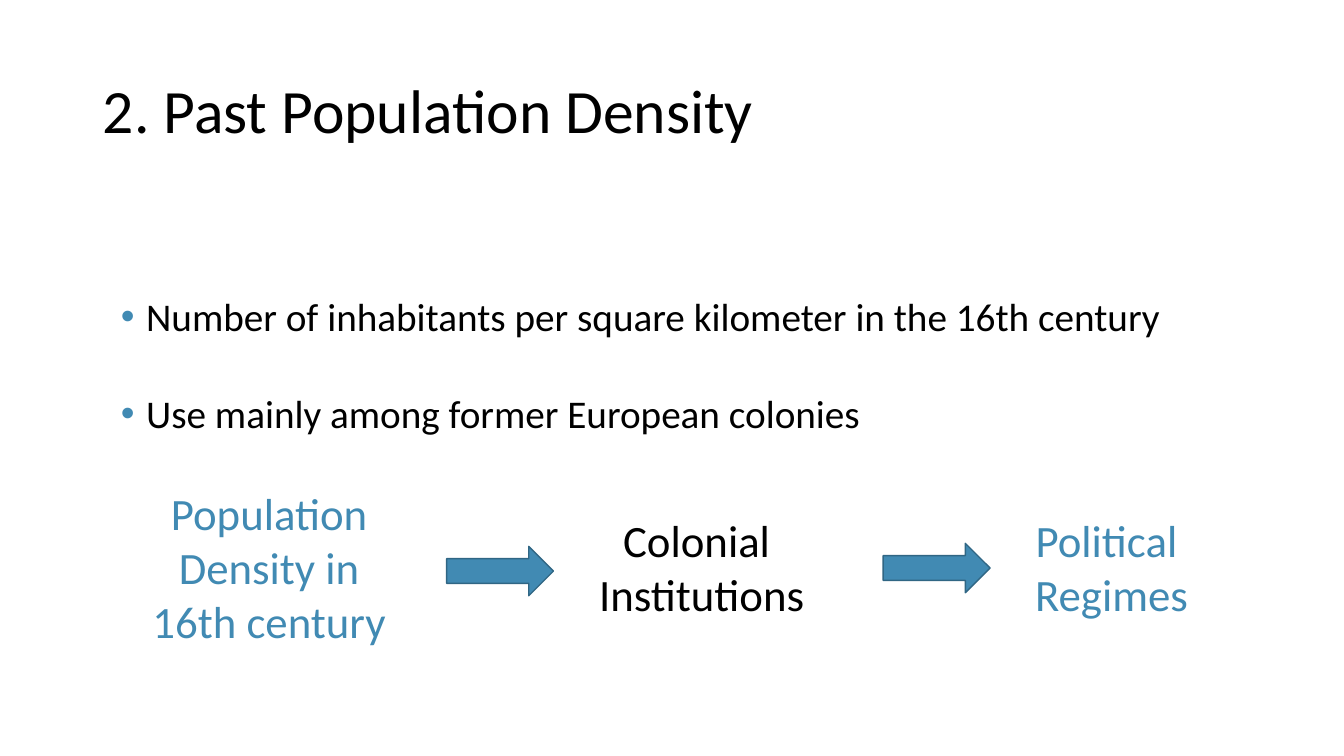
from dataclasses import dataclass

from lxml import etree
from pptx import Presentation
from pptx.dml.color import RGBColor
from pptx.enum.shapes import MSO_SHAPE
from pptx.enum.text import MSO_ANCHOR, MSO_AUTO_SIZE, PP_ALIGN
from pptx.oxml.ns import qn
from pptx.util import Inches, Pt

RIGHT_ARROW = MSO_SHAPE.RIGHT_ARROW
LEFT, CENTER = PP_ALIGN.LEFT, PP_ALIGN.CENTER
TOP, MIDDLE = MSO_ANCHOR.TOP, MSO_ANCHOR.MIDDLE
NO_AUTOFIT, GROW = MSO_AUTO_SIZE.NONE, MSO_AUTO_SIZE.SHAPE_TO_FIT_TEXT


@dataclass(frozen=True)
class Theme:
    font: str = "Calibri"
    text: str = "000000"
    accent: str = "418AB3"
    outline: str = "306684"
    title_size: int = 44
    body_size: int = 28
    flow_size: int = 32
    line_spacing: float = 0.9
    bullet_gap: int = 39


THEME = Theme()


def place(shape, box):
    shape.left, shape.top, shape.width, shape.height = (Inches(value) for value in box)


def prepare_frame(shape, anchor, autofit):
    frame = shape.text_frame
    frame.word_wrap = True
    frame.auto_size = autofit
    frame.vertical_anchor = anchor
    return frame


def add_span(para, text, size, color):
    span = para.add_run()
    span.text = text
    span.font.name = THEME.font
    span.font.size = Pt(size)
    span.font.color.rgb = RGBColor.from_string(color)


def add_bullet(para):
    properties = para._p.get_or_add_pPr()
    properties.set("marL", str(Inches(0.25)))
    properties.set("indent", str(Inches(-0.25)))
    bullet_color = etree.SubElement(properties, qn("a:buClr"))
    etree.SubElement(bullet_color, qn("a:srgbClr"), val=THEME.accent)
    etree.SubElement(properties, qn("a:buFont"), typeface="Arial")
    etree.SubElement(properties, qn("a:buChar"), char="•")


def write_title(page, box, text):
    title = page.shapes.title
    place(title, box)
    para = prepare_frame(title, MIDDLE, NO_AUTOFIT).paragraphs[0]
    para.alignment = LEFT
    para.line_spacing = THEME.line_spacing
    add_span(para, text, THEME.title_size, THEME.text)


def write_bullets(page, box, items):
    body = page.placeholders[1]
    place(body, box)
    frame = prepare_frame(body, TOP, NO_AUTOFIT)
    for index, item in enumerate(items):
        para = frame.add_paragraph() if index else frame.paragraphs[0]
        add_bullet(para)
        para.line_spacing = THEME.line_spacing
        para.space_before = Pt(THEME.bullet_gap if index else 0)
        add_span(para, item, THEME.body_size, THEME.text)


def add_stage(page, box, lines, color):
    stage = page.shapes.add_textbox(*(Inches(value) for value in box))
    frame = prepare_frame(stage, TOP, GROW)
    for index, line in enumerate(lines):
        para = frame.add_paragraph() if index else frame.paragraphs[0]
        para.alignment = CENTER
        add_span(para, line, THEME.flow_size, color)


def add_arrow(page, box):
    arrow = page.shapes.add_shape(RIGHT_ARROW, *(Inches(value) for value in box))
    arrow.shadow.inherit = False
    arrow.fill.solid()
    arrow.fill.fore_color.rgb = RGBColor.from_string(THEME.accent)
    arrow.line.color.rgb = RGBColor.from_string(THEME.outline)
    arrow.line.width = Pt(1)


def draw_causal_flow(page, box):
    left, top, width, height = box
    # Stages: offset from the left, width, height, lines, colour
    stages = [
        (0, 2.8, 1.72, ["Population", "Density in 16th century"], THEME.accent),
        (4.25, 2.88, 1.18, ["Colonial ", "Institutions"], THEME.text),
        (8.55, 2.41, 1.18, ["Political ", "Regimes"], THEME.accent),
    ]
    for offset, stage_width, stage_height, lines, color in stages:
        stage_top = top + (height - stage_height) / 2
        add_stage(page, (left + offset, stage_top, stage_width, stage_height), lines, color)
    # Arrows between the stages
    for offset, drop in [(3.16, 0.65), (7.49, 0.62)]:
        add_arrow(page, (left + offset, top + drop, 1.06, 0.49))


def build_density_slide(deck):
    page = deck.slides.add_slide(deck.slide_layouts[1])
    write_title(page, (0.92, 0.4, 11.5, 1.45), "2. Past Population Density")
    write_bullets(page, (1.1, 2.9, 11.5, 4.19), [
        "Number of inhabitants per square kilometer in the 16th century",
        "Use mainly among former European colonies",
    ])
    draw_causal_flow(page, (1.27, 4.77, 10.96, 1.72))


def main():
    deck = Presentation()
    deck.slide_width, deck.slide_height = Inches(13.33), Inches(7.5)
    build_density_slide(deck)
    deck.save("out.pptx")


if __name__ == "__main__":
    main()
